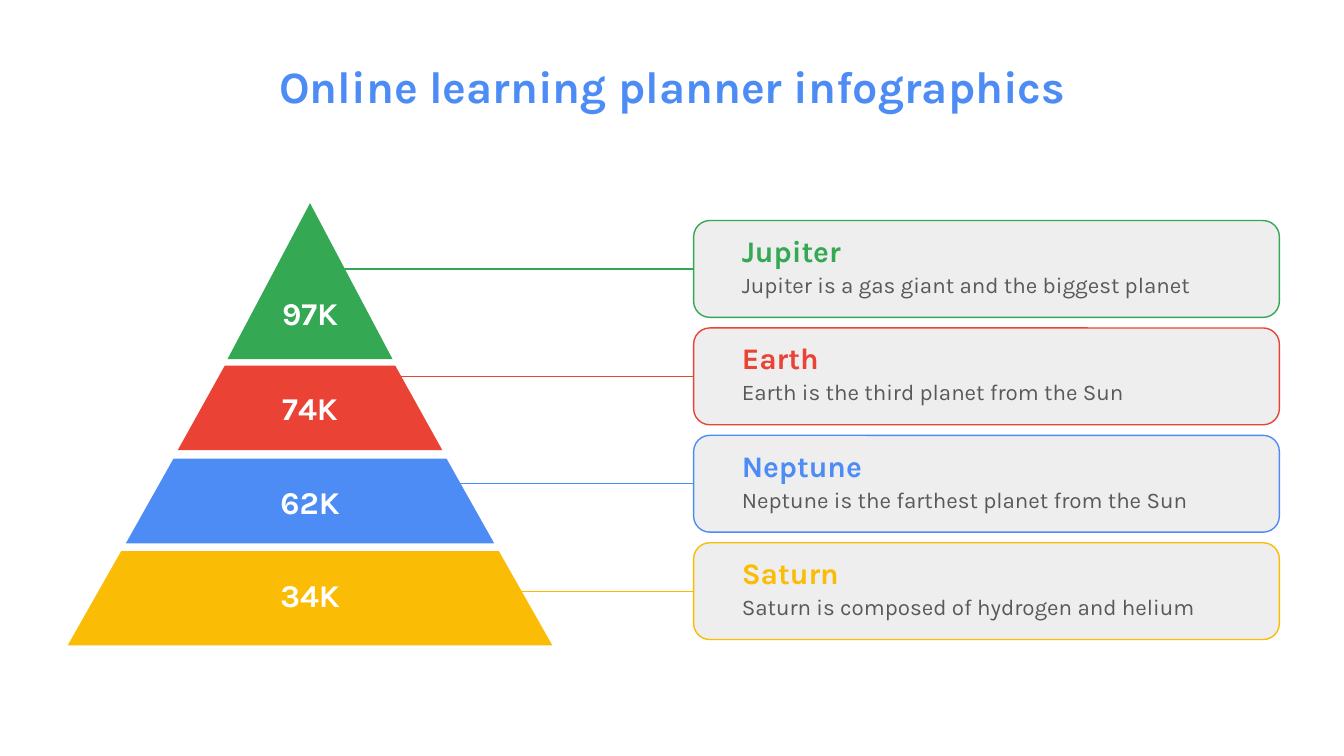
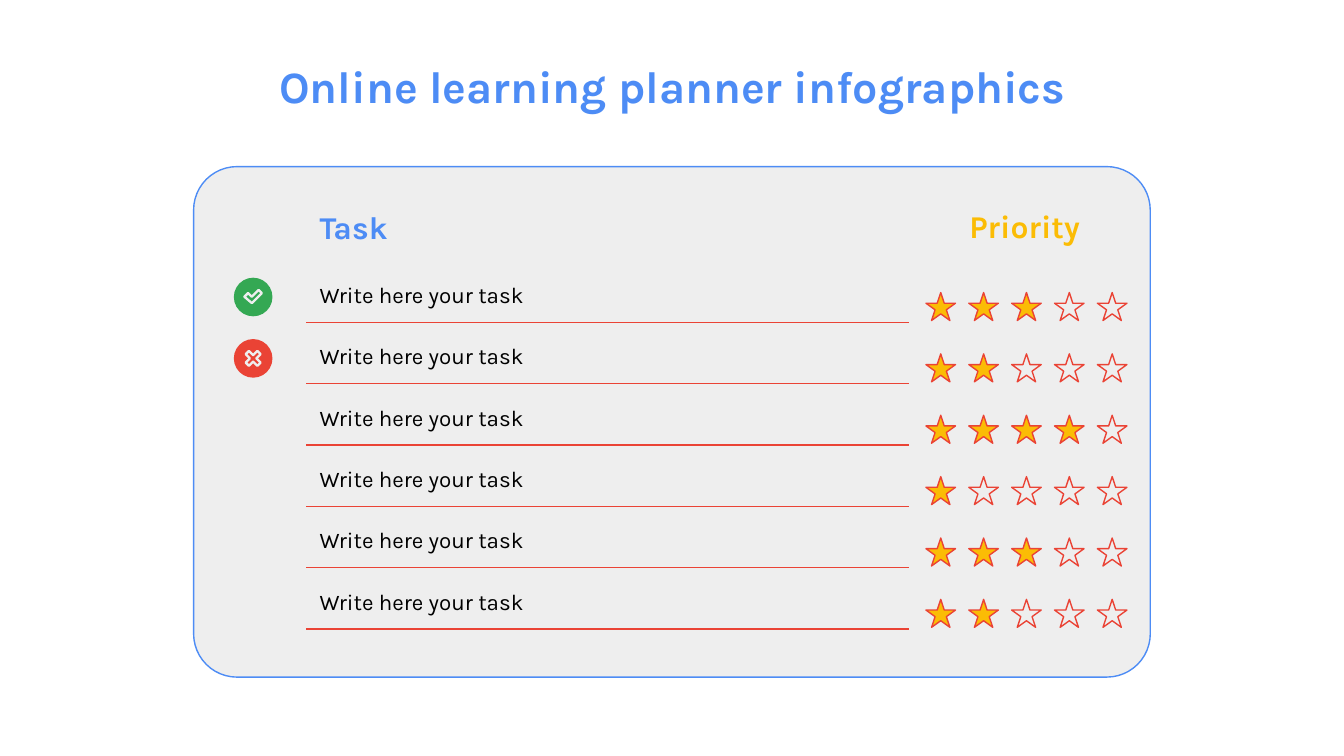
from lxml import etree
from pptx import Presentation
from pptx import util as u
from pptx.dml.color import RGBColor
from pptx.enum import shapes, text
from pptx.oxml.ns import qn

Cm, Pt = u.Cm, u.Pt
FONT = "Karla"
BLUE = RGBColor(0x4D, 0x8C, 0xF5)
GREEN = RGBColor(0x34, 0xA8, 0x53)
RED = RGBColor(0xEA, 0x43, 0x35)
YELLOW = RGBColor(0xFB, 0xBC, 0x05)
PANEL = RGBColor(0xEE, 0xEE, 0xEE)
GREY = RGBColor(0x59, 0x59, 0x59)
BLACK = RGBColor(0, 0, 0)
WHITE = RGBColor(0xFF, 0xFF, 0xFF)
LINE_W = 0.75
INSET = Cm(0.25)
PLAIN_TABLE = "{2D5ABB26-0587-4C30-8999-92F81FD0307C}"

LEFT, CENTER = text.PP_ALIGN.LEFT, text.PP_ALIGN.CENTER
TOP, MIDDLE, BOTTOM = (text.MSO_ANCHOR.TOP, text.MSO_ANCHOR.MIDDLE,
                       text.MSO_ANCHOR.BOTTOM)

TITLE = "Online learning planner infographics"
# name, description, value, colour
PLANETS = [
    ("Jupiter", "Jupiter is a gas giant and the biggest planet", "97K", GREEN),
    ("Earth", "Earth is the third planet from the Sun", "74K", RED),
    ("Neptune", "Neptune is the farthest planet from the Sun", "62K", BLUE),
    ("Saturn", "Saturn is composed of hydrogen and helium", "34K", YELLOW),
]
# top, height, half width at top, half width at base, label top
TIERS = [
    (0, 2.95, 0, 1.56, 1.47),
    (3.07, 1.6, 1.61, 2.5, 3.28),
    (4.83, 1.6, 2.58, 3.48, 5.05),
    (6.58, 1.78, 3.57, 4.58, 6.81),
]
# distance from the pyramid's axis at which each leader line ends
LEADER_ENDS = [0.24, 1.2, 1.53, 2.76]

TASK = "Write here your task"
PRIORITIES = [3, 2, 4, 1, 3, 2]
MAX_STARS = 5
ROW_H = 1.16

TICK = [(0.27, 0.29), (0.34, 0.36), (0.47, 0.23), (0.53, 0.29), (0.34, 0.48), (0.2, 0.36)]
ICON = 0.73


# Shared helpers
def style(sp, fill, line=None, width=LINE_W):
    sp.shadow.inherit = False
    sp.fill.solid()
    sp.fill.fore_color.rgb = fill
    if line is None:
        sp.line.fill.background()
    else:
        sp.line.color.rgb = line
        sp.line.width = Pt(width)
    return sp


def add_preset(s, kind, x, y, w, h, fill, line=None):
    sp = s.shapes.add_shape(kind, Cm(x), Cm(y), Cm(w), Cm(h))
    return style(sp, fill, line)


def add_rounded(s, x, y, w, h, radius, line):
    sp = add_preset(s, shapes.MSO_SHAPE.ROUNDED_RECTANGLE, x, y, w, h, PANEL, line)
    sp.adjustments[0] = radius
    return sp


def add_polygon(s, x, y, points, fill, line=None, width=LINE_W):
    pts = [(Cm(x + px), Cm(y + py)) for px, py in points]
    builder = s.shapes.build_freeform(*pts[0], scale=1.0)
    builder.add_line_segments(pts[1:], close=True)
    return style(builder.convert_to_shape(), fill, line, width)


def write(tf, words, size, color, bold=False, align=LEFT):
    p = tf.paragraphs[0]
    p.alignment = align
    r = p.add_run()
    r.text = words
    r.font.name = FONT
    r.font.size = Pt(size)
    r.font.bold = bold
    r.font.color.rgb = color


def set_insets(target):
    target.margin_left = target.margin_right = INSET
    target.margin_top = target.margin_bottom = INSET


def add_label(s, x, y, w, h, words, size, color, bold=False, align=LEFT, anchor=MIDDLE):
    tf = s.shapes.add_textbox(Cm(x), Cm(y), Cm(w), Cm(h)).text_frame
    tf.word_wrap = True
    tf.vertical_anchor = anchor
    set_insets(tf)
    write(tf, words, size, color, bold, align)


def add_titled_slide(prs):
    s = prs.slides.add_slide(prs.slide_layouts[6])
    add_label(s, 0.51, 0.86, 24.4, 1.6, TITLE, 24, BLUE, True, CENTER, TOP)
    return s


# Pyramid slide
def add_cards(s, x, y, w, h, pitch):
    cards = []
    for i, (name, description, _, color) in enumerate(PLANETS):
        top = y + i * pitch
        cards.append(add_rounded(s, x, top, w, h, 0.167, color))
        add_label(s, x + 0.66, top - 0.03, w - 1, 1.19, name, 16, color, True)
        add_label(s, x + 0.66, top + 0.47, w - 1, 1.47, description, 12, GREY)
    return cards


def add_pyramid(s, axis, y):
    for (_, _, value, color), tier in zip(PLANETS, TIERS):
        top, height, half_top, half_base, label_top = tier
        base = top + height
        points = [(-half_top, top), (-half_base, base), (half_base, base)]
        if half_top:
            points.append((half_top, top))
        add_polygon(s, axis, y, points, color)
        add_label(s, axis - 2.03, y + label_top, 4.06, 1.19, value, 17, WHITE, True, CENTER)


def add_leaders(s, axis, cards):
    for card, reach, (*_, color) in zip(cards, LEADER_ENDS, PLANETS):
        mid = card.top + card.height // 2
        line = s.shapes.add_connector(shapes.MSO_CONNECTOR.STRAIGHT,
                                      card.left, mid, Cm(axis + reach), mid)
        line.begin_connect(card, 1)
        line.line.color.rgb = color
        line.line.width = Pt(LINE_W)
        etree.SubElement(line._element.spPr, qn("a:effectLst"))


def build_pyramid_slide(prs):
    s = add_titled_slide(prs)
    axis = 5.86
    cards = add_cards(s, 13.11, 4.17, 11.07, 1.83, 2.03)
    add_pyramid(s, axis, 3.84)
    add_leaders(s, axis, cards)


# Task slide
def add_border(cell, side):
    ln = etree.SubElement(cell._tc.get_or_add_tcPr(), qn(f"a:{side}"), w=str(Pt(LINE_W)))
    fill = etree.SubElement(ln, qn("a:solidFill"))
    etree.SubElement(fill, qn("a:srgbClr"), val=str(RED))


def fill_cell(cell, words, size, color, bold=False, align=LEFT, anchor=BOTTOM):
    set_insets(cell)
    cell.vertical_anchor = anchor
    write(cell.text_frame, words, size, color, bold, align)


def add_task_table(s, x, y):
    widths = [1.78, 11.38, 4.39]
    heights = [0.94] + [ROW_H] * len(PRIORITIES)
    frame = s.shapes.add_table(len(heights), len(widths), Cm(x), Cm(y),
                               Cm(sum(widths)), Cm(sum(heights)))
    table = frame.table
    table.first_row = table.horz_banding = False
    table._tbl.tblPr.find(qn("a:tableStyleId")).text = PLAIN_TABLE
    for column, width in zip(table.columns, widths):
        column.width = Cm(width)
    for row, height in zip(table.rows, heights):
        row.height = Cm(height)

    fill_cell(table.cell(0, 1), "Task", 17, BLUE, True)
    fill_cell(table.cell(0, 2), "Priority", 17, YELLOW, True, CENTER, TOP)
    for i in range(1, len(heights)):
        cell = table.cell(i, 1)
        fill_cell(cell, TASK, 12, BLACK)
        if i > 1:
            add_border(cell, "lnT")
        add_border(cell, "lnB")
    for cell in table.iter_cells():
        cell.fill.background()


def cross_points():
    arm = [(0.06, 0), (0.14, 0.08), (0.08, 0.14)]
    points = []
    for _ in range(4):
        points += arm
        arm = [(-py, px) for px, py in arm]
    return [(ICON / 2 + px, ICON / 2 + py) for px, py in points]


def add_status_icon(s, x, y, points, color):
    add_preset(s, shapes.MSO_SHAPE.OVAL, x, y, ICON, ICON, color)
    add_polygon(s, x, y, points, color, PANEL, 1.25)


def add_star_grid(s, x, y):
    for i, priority in enumerate(PRIORITIES):
        for j in range(MAX_STARS):
            fill = YELLOW if j < priority else PANEL
            add_preset(s, shapes.MSO_SHAPE.STAR_5_POINT, x + j * 0.81, y + i * ROW_H,
                       0.56, 0.53, fill, RED)


def build_task_slide(prs):
    s = add_titled_slide(prs)
    x, y = 3.66, 3.15
    add_rounded(s, x, y, 18.08, 9.65, 0.085, BLUE)
    add_task_table(s, x + 0.35, y + 0.56)
    add_status_icon(s, x + 0.76, y + 2.1, TICK, GREEN)
    add_status_icon(s, x + 0.76, y + 2.1 + ROW_H, cross_points(), RED)
    add_star_grid(s, x + 13.84, y + 2.38)


def main():
    prs = Presentation()
    prs.slide_width, prs.slide_height = Cm(25.4), Cm(14.29)
    build_pyramid_slide(prs)
    build_task_slide(prs)
    prs.save("out.pptx")


if __name__ == "__main__":
    main()
